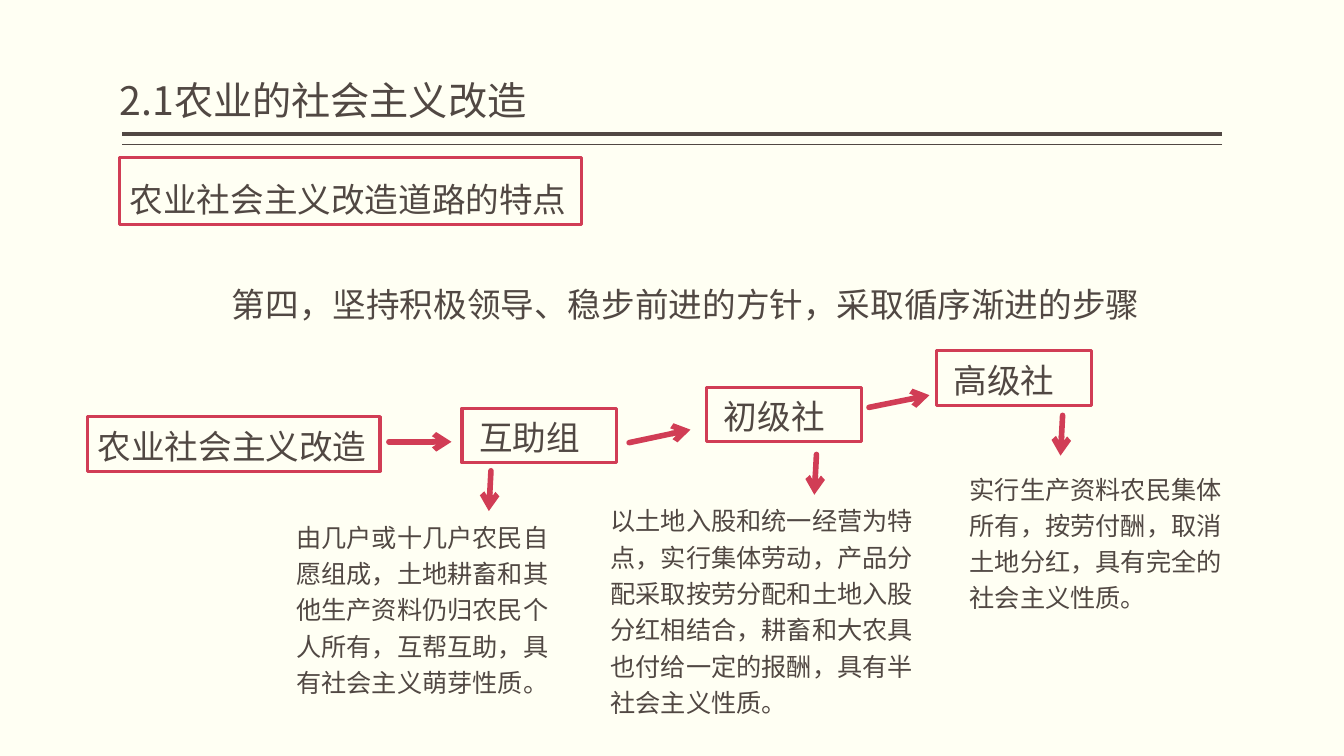
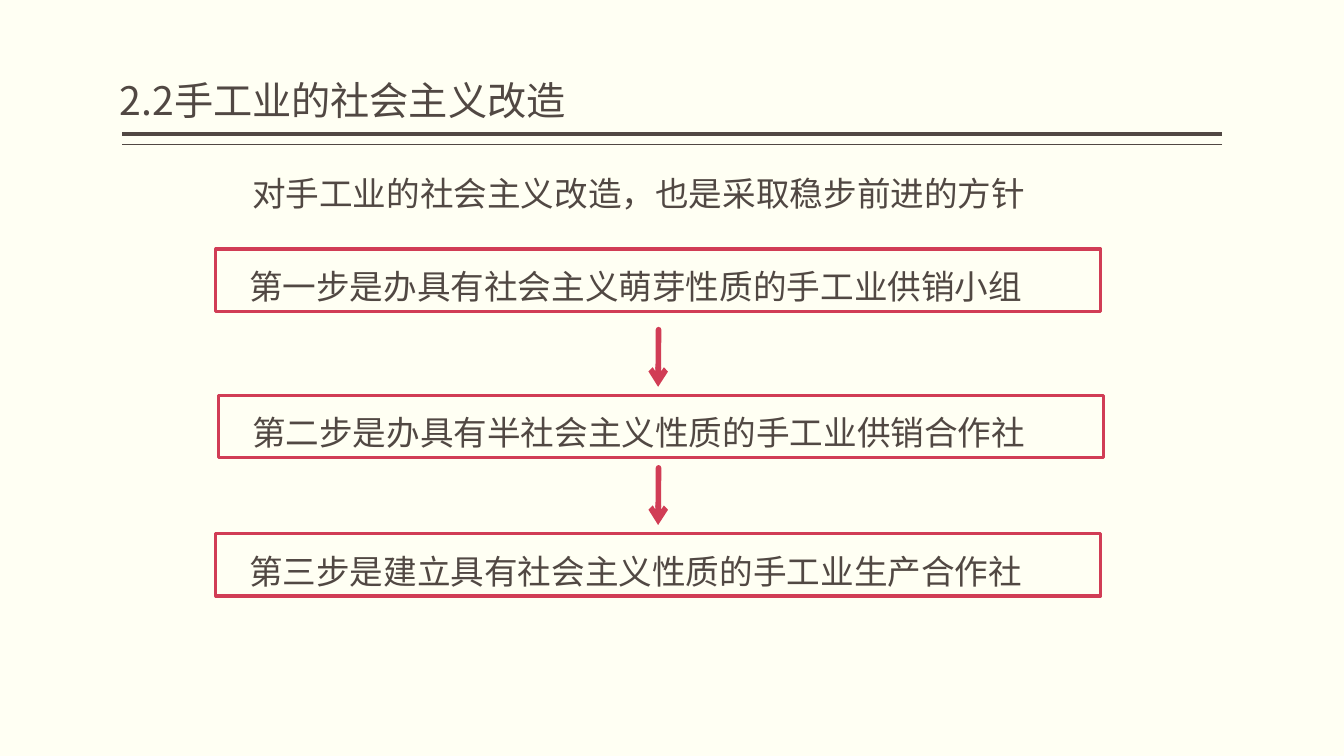
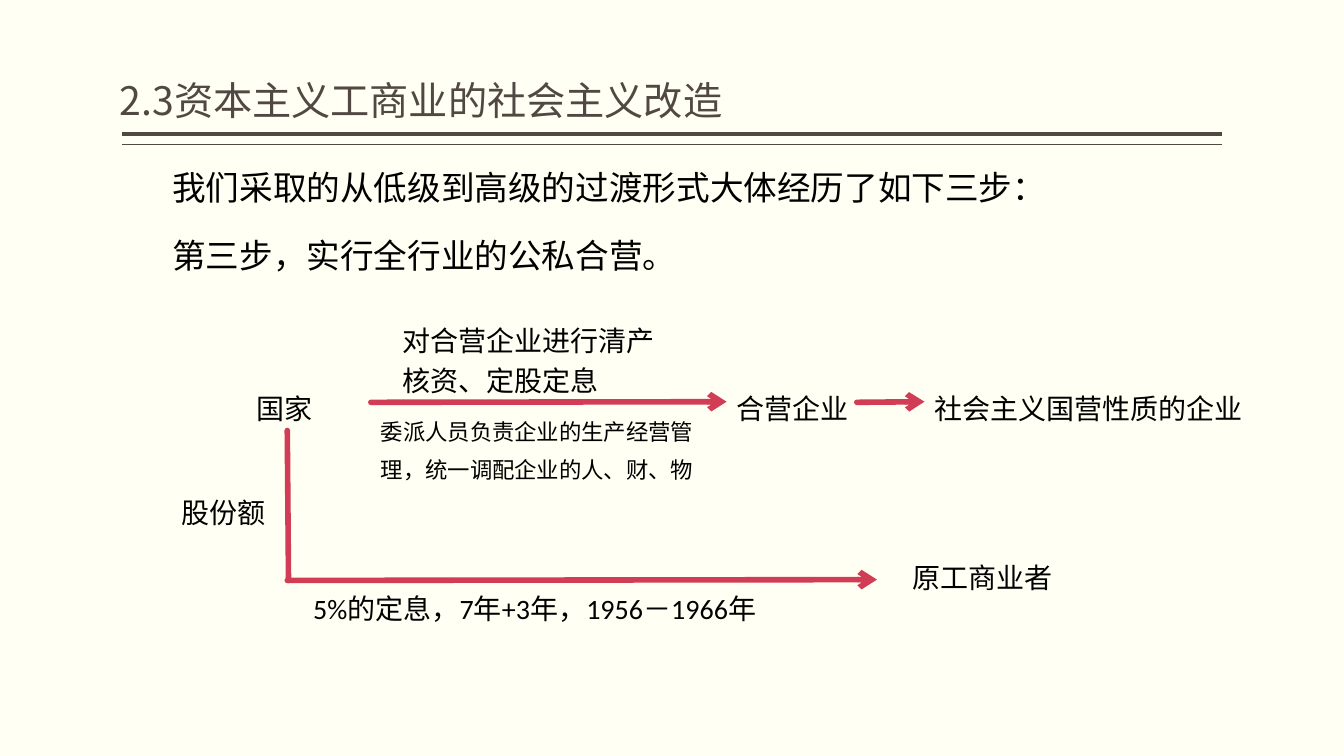
from pptx import Presentation
from pptx import util as u
from pptx.dml.color import RGBColor
from pptx.enum import shapes, text
from pptx.oxml.ns import qn
from lxml import etree

INK = {"paper": "FFFFF3", "brown": "514843", "red": "D13D55", "black": "000000"}
SANS, BODY = "Noto Sans CJK SC", "Calibri"
COLS, ROWS = 160, 90


def tint(name):
    """Return the named colour."""
    return RGBColor.from_string(INK[name])


def write(frame, words, size=24, color="brown", font=BODY, space=1.4, pad=0.1,
          side=0.1, anchor=text.MSO_ANCHOR.TOP):
    """Put text in a frame; pad and side are its left and right insets."""
    frame.word_wrap = True
    frame.auto_size = text.MSO_AUTO_SIZE.NONE
    frame.vertical_anchor = anchor
    frame.margin_left, frame.margin_right = u.Inches(pad), u.Inches(side)
    frame.margin_top = frame.margin_bottom = u.Inches(0.05)
    para = frame.paragraphs[0]
    para.alignment = text.PP_ALIGN.LEFT
    para.line_spacing = space
    run = para.add_run()
    run.text = words
    run.font.size, run.font.name = u.Pt(size), font
    run.font.color.rgb = tint(color)
    east = etree.SubElement(run.font._element, qn("a:ea"))
    east.set("typeface", font)


class Deck:
    """Hold the shared style and the current slide."""

    def __init__(self):
        """Set up the page, its paper and the double rule."""
        self.prs = Presentation()
        self.prs.slide_width, self.prs.slide_height = u.Inches(13.33), u.Inches(7.5)
        self.base = self.prs.slide_layouts[5]
        fill = self.prs.slide_master.background.fill
        fill.solid()
        fill.fore_color.rgb = tint("paper")
        self.slide = None

    def grid(self, col, row):
        """Turn columns and rows into lengths."""
        return (round(col * self.prs.slide_width / COLS),
                round(row * self.prs.slide_height / ROWS))

    def area(self, x, y, w, h):
        """Turn a grid area into left, top, width and height."""
        return self.grid(x, y) + self.grid(w, h)

    def page(self, words):
        """Start a slide with its title."""
        first = self.slide is None
        self.slide = self.prs.slides.add_slide(self.base)
        if first:
            for row, width in ((16, 3), (17.2, 1)):
                rule = self.line((145.5, row), (14.5, row), "brown", width, False)
                self.base.shapes.element.append(rule.element)
        title = self.slide.shapes.title
        title.left, title.top, title.width, title.height = self.area(14.25, 1, 131, 14.4)
        write(title.text_frame, words, size=28, font=SANS, space=0.9, pad=0, side=0,
              anchor=text.MSO_ANCHOR.BOTTOM)

    def note(self, words, x, y, w, h, **form):
        """Add plain text."""
        box = self.slide.shapes.add_textbox(*self.area(x, y, w, h))
        write(box.text_frame, words, **form)
        return box

    def frame(self, words, x, y, w, h, **form):
        """Add text in a red outline."""
        box = self.slide.shapes.add_shape(
            shapes.MSO_SHAPE.RECTANGLE, *self.area(x, y, w, h))
        box.shadow.inherit = False
        box.fill.background()
        box.line.color.rgb = tint("red")
        box.line.width = u.Pt(2.25)
        write(box.text_frame, words, **form)
        return box

    def line(self, start, end, color="red", width=4, arrow=True):
        """Add a straight line or an arrow."""
        line = self.slide.shapes.add_connector(
            shapes.MSO_CONNECTOR.STRAIGHT, *self.grid(*start), *self.grid(*end))
        line.line.color.rgb = tint(color)
        line.line.width = u.Pt(width)
        prop = line.element.spPr
        edge = prop.find(qn("a:ln"))
        if color == "red":
            edge.set("cap", "rnd")
        if arrow:
            etree.SubElement(edge, qn("a:tailEnd")).set("type", "arrow")
        etree.SubElement(prop, qn("a:effectLst"))
        return line


def farms(deck):
    """Build the farming slide."""
    deck.page("2.1农业的社会主义改造")
    deck.frame("农业社会主义改造道路的特点", 14.25, 18.75, 55, 7.95)
    deck.note("第四，坚持积极领导、稳步前进的方针，采取循序渐进的步骤",
              22.8, 31.3, 122.5, 7.95, pad=0.4)
    deck.frame("农业社会主义改造", 10.45, 49.6, 34.8, 6.5, space=1.1)
    for name, x, y in (("互助组", 55, 48.6), ("初级社", 84.15, 46.1),
                       ("高级社", 111.5, 41.75)):
        deck.frame(name, x, y, 18.4, 6.5, space=1.1, pad=0.17)
    for start, end in (((46.3, 52.6), (53.75, 52.6)), ((74.9, 52.7), (82.2, 51.15)),
                       ((103.45, 48.5), (110.65, 47.05))):
        deck.line(start, end)
    for x, y in ((58.45, 56.05), (97.2, 54.1), (126.5, 49.45)):
        deck.line((x, y), (x - 0.25, y + 4.8))
    for words, *area in (
            ("由几户或十几户农民自愿组成，土地耕畜和其他生产资料仍归农民个人所有，"
             "互帮互助，具有社会主义萌芽性质。", 34.1, 60.85, 33.25, 23),
            ("以土地入股和统一经营为特点，实行集体劳动，产品分配采取按劳分配和土地入股"
             "分红相结合，耕畜和大农具也付给一定的报酬，具有半社会主义性质。",
             71.5, 58.9, 40, 27.35),
            ("实行生产资料农民集体所有，按劳付酬，取消土地分红，具有完全的社会主义性质。",
             114.25, 55.1, 32.75, 18.6)):
        deck.note(words, *area, size=18, space=1.2)


def crafts(deck):
    """Build the handicraft slide."""
    deck.page("2.2手工业的社会主义改造")
    wide, high = 105.35, 7.45
    form = dict(space=1.3, pad=0.33)
    deck.note("对手工业的社会主义改造，也是采取稳步前进的方针",
              26.05, 18.6, wide, high, **form)
    steps = (("第一步是办具有社会主义萌芽性质的手工业供销小组", 25.7, 29.65),
             ("第二步是办具有半社会主义性质的手工业供销合作社", 26.05, 47.05),
             ("第三步是建立具有社会主义性质的手工业生产合作社", 25.7, 63.5))
    for i, (words, x, y) in enumerate(steps):
        deck.frame(words, x, y, wide, high, **form)
        if i:
            deck.line((78.4, y - 7.8), (78.35, y - 1))


def trade(deck):
    """Build the industry and commerce slide."""
    deck.page("2.3资本主义工商业的社会主义改造")
    for words, y in (("我们采取的从低级到高级的过渡形式大体经历了如下三步：", 17.4),
                     ("第三步，实行全行业的公私合营。", 25.4)):
        deck.note(words, 16.55, y, 121, 7.95, color="black", pad=0.33)
    form = dict(size=20, color="black")
    state, joint, owned, _, _ = [
        deck.note(words, x, y, w, 6.85, **form) for words, x, y, w in (
            ("国家", 29.4, 44.4, 9.6), ("合营企业", 86.5, 44.4, 24.7),
            ("社会主义国营性质的企业", 110.05, 44.4, 39.75),
            ("原工商业者", 107.4, 64.55, 24.7), ("股份额", 20.4, 56.75, 13.8))]
    deck.note("对合营企业进行清产核资、定股定息", 46.7, 37.1, 33.5, 10.9, space=1.2, **form)
    deck.note("委派人员负责企业的生产经营管理，统一调配企业的人、财、物",
              44.15, 47.9, 41.15, 10.2, size=16, color="black")
    deck.note("5%的定息，7年+3年，1956－1966年", 36.1, 69, 62.4, 6, space=1.2, **form)
    deck.line((44.15, 47.9), (86.5, 47.8)).end_connect(joint, 1)
    deck.line((102, 47.9), (110.05, 47.8)).end_connect(owned, 1)
    deck.line((34.2, 51.25), (34.35, 69.1), arrow=False).begin_connect(state, 2)
    deck.line((34.2, 69.1), (104.4, 69))


def main():
    """Build and save the deck."""
    deck = Deck()
    for build in (farms, crafts, trade):
        build(deck)
    deck.prs.save("out.pptx")


if __name__ == "__main__":
    main()
